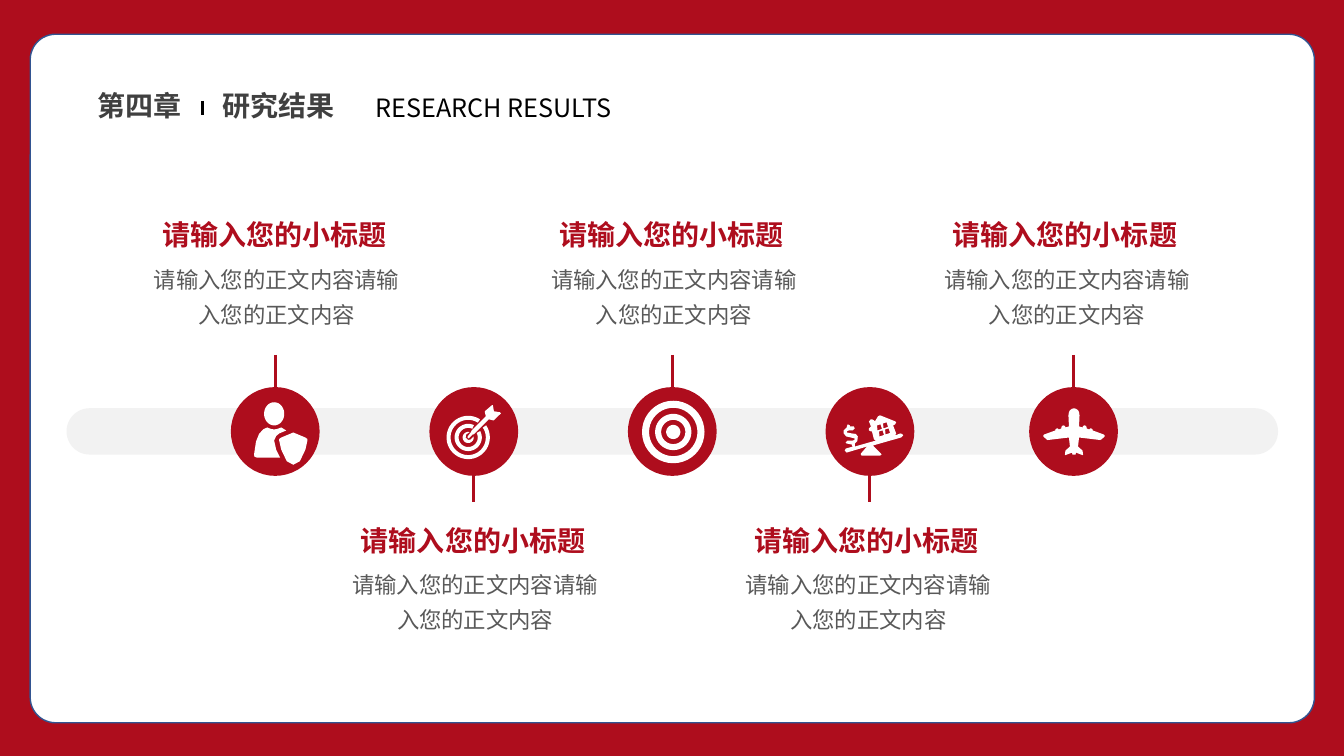
import math
from dataclasses import dataclass

from lxml import etree
from pptx import Presentation
from pptx import util as u
from pptx.dml.color import RGBColor
from pptx.enum import shapes, text
from pptx.oxml.ns import qn

Point = tuple[float, float]
Contour = list[Point]

FONT = "Noto Sans CJK SC"
RED, WHITE, BLACK = "AE0D1D", "FFFFFF", "000000"
LEFT, CENTER, JUSTIFY = text.PP_ALIGN.LEFT, text.PP_ALIGN.CENTER, text.PP_ALIGN.JUSTIFY
AXIS_Y, DISC_SIZE, STEM = 308.2, 63.4, 23
ICON_UNIT = 0.72  # points per icon grid unit


@dataclass
class Stop:
    center: float
    text_left: float
    above: bool
    icon: list[Contour]


@dataclass
class Style:
    size: float
    color: str
    bold: bool = False
    align: text.PP_ALIGN = LEFT
    spacing: float = 1.0
    wrap: bool = True


def rgb(value: str) -> RGBColor:
    return RGBColor.from_string(value)


# Drawing helpers
def finish(shape, fill: str, line: str | None = None) -> None:
    shape.shadow.inherit = False
    shape.fill.solid()
    shape.fill.fore_color.rgb = rgb(fill)
    if line:
        shape.line.color.rgb = rgb(line)
        shape.line.width = u.Pt(1)
    else:
        shape.line.fill.background()


def add_block(page, kind, left: float, top: float, width: float, height: float,
              fill: str, line: str | None = None, corner: float | None = None) -> None:
    block = page.shapes.add_shape(kind, u.Pt(left), u.Pt(top), u.Pt(width), u.Pt(height))
    if corner is not None:
        block.adjustments[0] = corner
    finish(block, fill, line)


def add_vertical(page, x: float, top: float, bottom: float, color: str, width: float) -> None:
    line = page.shapes.add_connector(shapes.MSO_CONNECTOR.STRAIGHT,
                                     u.Pt(x), u.Pt(top), u.Pt(x), u.Pt(bottom))
    line.line.color.rgb = rgb(color)
    line.line.width = u.Pt(width)
    etree.SubElement(line._element.spPr, qn("a:effectLst"))


def add_text(page, words: str, left: float, top: float, width: float, height: float,
             style: Style) -> None:
    box = page.shapes.add_textbox(u.Pt(left), u.Pt(top), u.Pt(width), u.Pt(height))
    frame = box.text_frame
    frame.word_wrap = style.wrap
    frame.auto_size = text.MSO_AUTO_SIZE.SHAPE_TO_FIT_TEXT
    para = frame.paragraphs[0]
    para.alignment = style.align
    para.line_spacing = style.spacing
    span = para.add_run()
    span.text = words
    span.font.size = u.Pt(style.size)
    span.font.bold = style.bold
    span.font.color.rgb = rgb(style.color)
    span.font.name = FONT
    etree.SubElement(span._r.get_or_add_rPr(), qn("a:ea")).set("typeface", FONT)


def add_icon(page, center: float, contours: list[Contour]) -> None:
    placed = [[(u.Pt(center + x * ICON_UNIT), u.Pt(AXIS_Y + y * ICON_UNIT)) for x, y in contour]
              for contour in contours]
    builder = page.shapes.build_freeform(*placed[0][0])
    for number, contour in enumerate(placed):
        if number:
            builder.move_to(*contour[0])
        builder.add_line_segments(contour[1:], close=True)
    finish(builder.convert_to_shape(), WHITE)


# Icon outlines, measured from the middle of the disc
def arc(x: float, y: float, rx: float, ry: float, start: int = 0, end: int = 360) -> Contour:
    steps = 40
    angles = [math.radians(start + (end - start) * i / steps) for i in range(steps + 1)]
    return [(x + rx * math.cos(a), y + ry * math.sin(a)) for a in angles]


def open_ring(x: float, y: float, outer: float, inner: float, start: int, end: int) -> Contour:
    return arc(x, y, outer, outer, start, end) + arc(x, y, inner, inner, end, start)


GUARD = [
    arc(-1, -17.5, 10, 11.5),
    [(-8, -4), (-4, -2.5), (-1, -2), (2, -2.5), (6, -4), (11, -1), (4, 2), (1, 4.5), (-1, 9),
     (1, 18), (5, 26), (-18, 26), (-20.5, 25), (-21, 23), (-19, 10), (-16, 2.5), (-12, -2)],
    [(18, 1), (30, 6), (32, 7.5), (32, 9), (30, 18), (24.5, 29.5), (18, 33), (11.5, 29.5),
     (6, 18), (4, 9), (4, 7.5), (6, 6)],
]
DART = [
    open_ring(-5.5, 6, 21.5, 17.5, -34, 303),
    open_ring(-5.5, 6, 13.5, 9.5, -28, 295),
    arc(-5.5, 6, 5.5, 5.5, -10, 285) + [(-7.5, 3), (-8, 6), (-5.5, 8.5), (-3, 8)],
    [(18, -26), (19, -26), (20, -20), (26, -19), (27, -18), (20, -11), (19, -11), (15, -12),
     (1, 2), (0, 3), (-1, 3), (-5, 7), (-6, 6.5), (-6, 5), (-3, 1), (-2, -1), (12, -15),
     (11, -19), (11, -20)],
]
TARGET = [arc(1, 0.5, radius, radius) for radius in (31, 24, 18, 12, 7)]
BALANCE = [
    [(33, 4), (32, 2.5), (30, 2), (25, 4), (26, 2), (23, -6), (25, -7), (26, -9), (25, -10),
     (10, -16), (8, -15), (5, -10), (4, -11), (2, -12), (1, -12), (-1, -10), (1, -5), (-1, -3),
     (-1, -1), (1, 0), (2, 0), (4, 8), (6, 9), (-15, 15), (-15, 12), (-12.5, 9.5), (-12, 5),
     (-14, 2.5), (-18, 2), (-23, 1), (-23, 0), (-21, -1), (-17, -1), (-15, -3), (-16, -5),
     (-20, -5), (-20, -6), (-22, -7), (-23, -5), (-23, -4), (-26, -1), (-26, 2), (-23.5, 5),
     (-19, 6), (-15, 7), (-15.5, 8.5), (-17, 9), (-22, 9), (-24, 11), (-23, 12), (-18, 13),
     (-18, 14), (-17, 15), (-24, 17), (-25, 19), (-23, 21), (-3, 15), (-9, 22), (-9, 23),
     (-8, 24), (10, 24), (11.5, 23), (11, 22), (3, 14), (31, 6)],
] + [
    [(x + 6 * column - 2 * row, y - 2 * column - 6 * row)
     for x, y in ((9, 0), (12.5, -1), (14, 3.5), (9.5, 5))]
    for row in range(2) for column in range(2)
]
HALF_PLANE = [
    (0, -23), (2, -22.5), (4, -21), (5, -19), (5.5, -16), (5, -5), (8.5, -4), (9, -5.5),
    (10.5, -6), (12, -5.5), (12.5, -4), (12.5, -3), (15, -2), (16, -3), (17, -3), (18.5, -2),
    (18.5, -1), (29.5, 3), (30.5, 4), (30.5, 5), (27, 8), (26, 8.5), (5, 6), (4, 15),
    (8.5, 19), (9, 23), (8.5, 23.5), (2, 21), (1.5, 23),
]
PLANE = [[(0.5 + x, y) for x, y in HALF_PLANE] + [(0.5 - x, y) for x, y in HALF_PLANE[:0:-1]]]

STOPS = [
    Stop(196.6, 100.1, True, GUARD),
    Stop(338.4, 241.9, False, DART),
    Stop(480.2, 383.8, True, TARGET),
    Stop(621.4, 522.7, False, BALANCE),
    Stop(766.8, 664.6, True, PLANE),
]


def main() -> None:
    deck = Presentation()
    deck.slide_width, deck.slide_height = u.Pt(960), u.Pt(540)
    page = deck.slides.add_slide(deck.slide_layouts[6])
    kinds = shapes.MSO_SHAPE

    # Frame
    add_block(page, kinds.RECTANGLE, 0, 0, 960, 540, RED)
    add_block(page, kinds.ROUNDED_RECTANGLE, 21.6, 24.5, 917.3, 491.8, WHITE, "325491", 0.037)

    # Heading
    chapter = Style(20, "404040", bold=True, wrap=False)
    add_text(page, "第四章", 62.6, 59.8, 74.9, 31.5, chapter)
    add_text(page, "研究结果", 151.9, 59.8, 95, 31.5, chapter)
    add_text(page, "RESEARCH RESULTS", 261.4, 62.6, 218.9, 29,
             Style(18, BLACK, align=JUSTIFY))
    add_vertical(page, 144.7, 72, 82.1, BLACK, 1.5)

    # Timeline
    add_block(page, kinds.ROUNDED_RECTANGLE, 47.5, 291.6, 865.4, 33.1, "F2F2F2", corner=0.5)
    title = Style(20, RED, bold=True, align=CENTER)
    body = Style(16, "595959", align=CENTER, spacing=1.3)
    for stop in STOPS:
        add_block(page, kinds.OVAL, stop.center - DISC_SIZE / 2, AXIS_Y - DISC_SIZE / 2,
                  DISC_SIZE, DISC_SIZE, RED)
        add_icon(page, stop.center, stop.icon)
        stem_top, title_top = (253.5, 151.9) if stop.above else (335.5, 370.1)
        add_vertical(page, stop.center, stem_top, stem_top + STEM, RED, 2.25)
        add_text(page, "请输入您的小标题", stop.text_left, title_top, 192.2, 31.5, title)
        add_text(page, "请输入您的正文内容请输入您的正文内容", stop.text_left, title_top + 28.8,
                 195.1, 55.4, body)

    deck.save("out.pptx")


if __name__ == "__main__":
    main()
